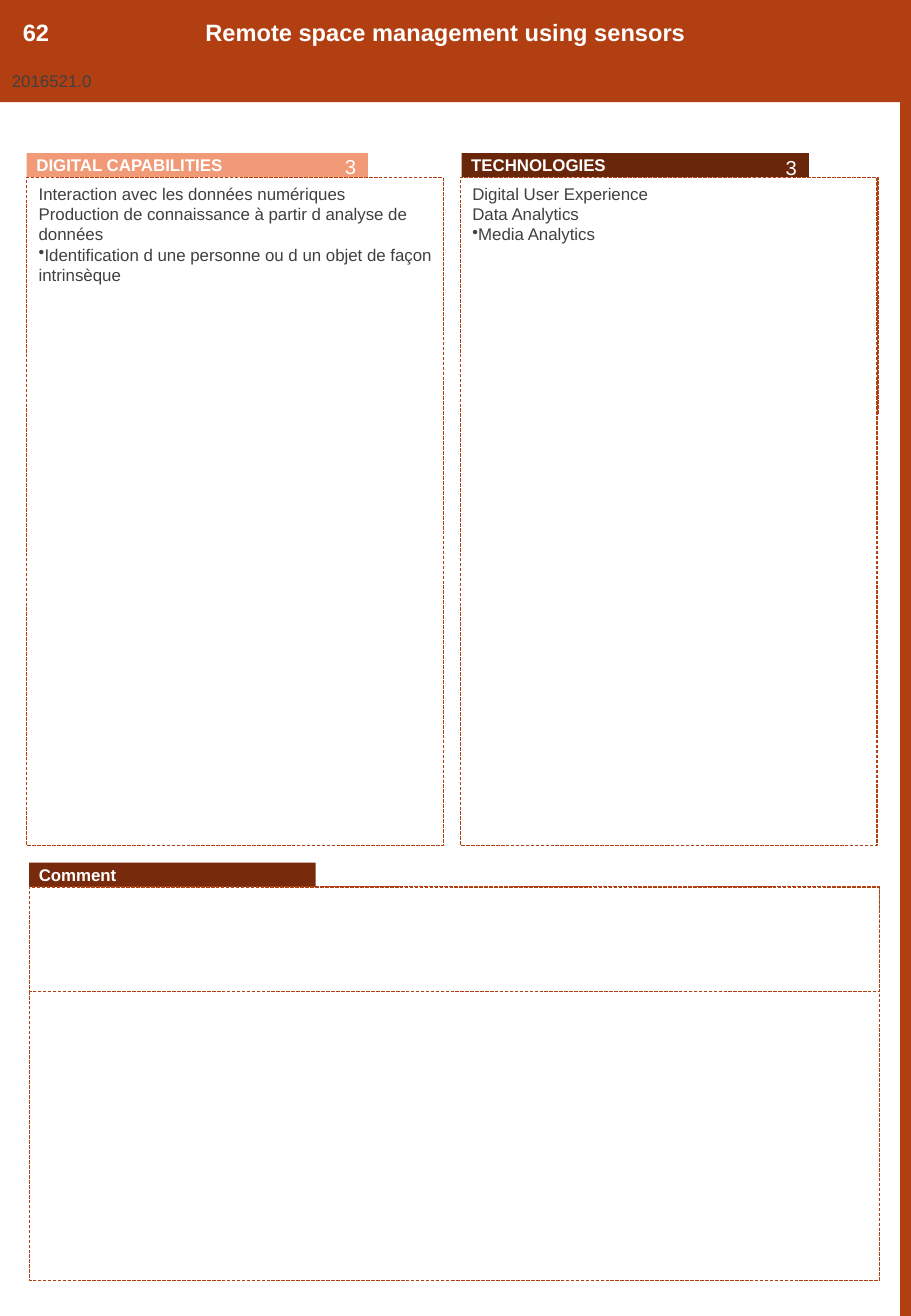
from pptx import Presentation
from pptx import util as u
from pptx.dml.color import RGBColor
from pptx.enum import dml, shapes, text
from pptx.oxml.ns import qn
from lxml import etree

RUST = RGBColor(0xB2, 0x3F, 0x12)
SALMON = RGBColor(0xF1, 0x9A, 0x78)
BROWN = RGBColor(0x69, 0x26, 0x0B)
CHESTNUT = RGBColor(0x77, 0x2A, 0x0C)
WHITE = RGBColor(0xFF, 0xFF, 0xFF)
GREY = RGBColor(0x40, 0x40, 0x40)


def write(shape, lines, size=10, color=WHITE, bold=False, align=text.PP_ALIGN.LEFT,
          anchor=text.MSO_ANCHOR.TOP, inset=0.1, bullet_last=False):
    frame = shape.text_frame
    frame.word_wrap = True
    frame.auto_size = text.MSO_AUTO_SIZE.NONE
    frame.vertical_anchor = anchor
    frame.margin_left = frame.margin_right = u.Inches(inset)
    frame.margin_top = frame.margin_bottom = u.Inches(0.05)
    frame.text = "\n".join(lines)
    for paragraph in frame.paragraphs:
        paragraph.alignment = align
        if bullet_last and paragraph.text == lines[-1]:
            properties = paragraph._p.get_or_add_pPr()
            etree.SubElement(properties, qn("a:buChar")).set("char", "•")
        font = paragraph.font
        font.name, font.size, font.bold = "Arial", u.Pt(size), bold
        font.color.rgb = color


def block(left, top, width, height, fill, dashed=False):
    shape = slide.shapes.add_shape(
        shapes.MSO_SHAPE.RECTANGLE, *map(u.Inches, (left, top, width, height)))
    shape.shadow.inherit = False
    shape.fill.solid()
    shape.fill.fore_color.rgb = fill
    if dashed:
        shape.line.color.rgb = RUST
        shape.line.width = u.Inches(0)
        shape.line.dash_style = dml.MSO_LINE.SQUARE_DOT
    else:
        shape.line.fill.background()
    return shape


deck = Presentation()
deck.slide_width, deck.slide_height = u.Inches(7.5), u.Inches(10.83)
slide = deck.slides.add_slide(deck.slide_layouts[5])

block(7.41, 0, 0.09, 10.83, RUST)

# Capability and technology columns
header_style = dict(bold=True, anchor=text.MSO_ANCHOR.MIDDLE, inset=0.08)
block(3.8, 1.46, 3.43, 1.95, WHITE, dashed=True)
columns = [
    ("TECHNOLOGIES", 3.8, 2.86, BROWN, 3.79, 1.23,
     ["Digital User Experience", "Data Analytics", "Media Analytics"]),
    ("DIGITAL CAPABILITIES", 0.22, 2.81, SALMON, 0.22, 1.22,
     ["Interaction avec les données numériques",
      "Production de connaissance à partir d analyse de données",
      "Identification d une personne ou d un objet de façon intrinsèque"]),
]
for heading, left, width, fill, body_left, count_top, items in columns:
    write(block(left, 1.26, width, 0.2, fill), [heading], **header_style)
    body = block(body_left, 1.46, 3.43, 5.5, WHITE, dashed=True)
    write(body, items, color=GREY, bullet_last=True)
    count = slide.shapes.add_textbox(
        u.Inches(left + width - 1.4), u.Inches(count_top), u.Inches(1.4), u.Inches(0.29))
    write(count, [str(len(items))], size=12, align=text.PP_ALIGN.RIGHT)

# Top band with title, number and reference
block(0, -0.01, 7.5, 0.85, RUST)
title = slide.shapes.title
title.left, title.top = u.Inches(1.59), u.Inches(0.1)
title.width, title.height = u.Inches(5.41), u.Inches(0.34)
title.fill.solid()
title.fill.fore_color.rgb = RUST
write(title, ["Remote space management using sensors"], size=14, bold=True)
slide.shapes._spTree.append(title._element)  # bring the title above the band
write(block(0.09, 0.1, 0.8, 0.34, RUST), ["62"], size=14, bold=True)
write(block(0, 0.53, 1.06, 0.29, RUST), ["2016521.0"], color=GREY)

# Comment area
block(0.24, 7.3, 7, 3.24, WHITE, dashed=True)
write(block(0.24, 7.1, 2.36, 0.2, CHESTNUT), ["Comment"], **header_style)
block(0.24, 7.3, 7, 0.86, WHITE, dashed=True)

deck.save("out.pptx")
